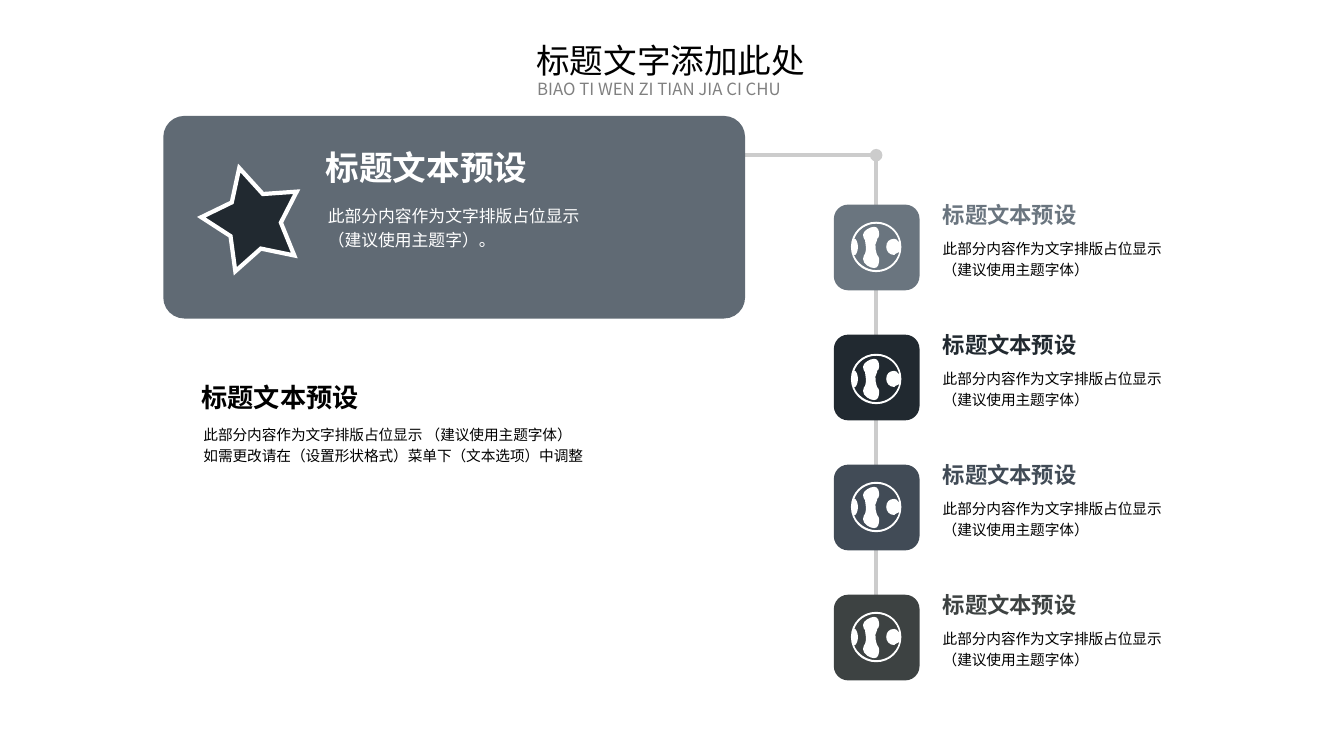
import pptx
import pptx.dml.color
import pptx.enum.shapes
import pptx.enum.text
import pptx.oxml.ns
import pptx.util
from lxml import etree
from pptx.dml.color import RGBColor
from pptx.util import Inches

FONT = "Noto Sans CJK SC"
BLACK = RGBColor(0x00, 0x00, 0x00)
WHITE = RGBColor(0xFF, 0xFF, 0xFF)
GRAY = RGBColor(0x80, 0x80, 0x80)
RAIL = RGBColor(0xCC, 0xCC, 0xCC)
SLATE = RGBColor(0x60, 0x6A, 0x74)
STEEL = RGBColor(0x6A, 0x75, 0x7F)
NAVY = RGBColor(0x21, 0x29, 0x30)
DUSK = RGBColor(0x41, 0x4B, 0x56)
MOSS = RGBColor(0x3D, 0x42, 0x42)

HEADING = "标题文本预设"
STEP_BODY = "此部分内容作为文字排版占位显示 \v（建议使用主题字体）"

# Timeline steps: tile colour and top of its globe
STEPS = [(STEEL, 2.2), (NAVY, 3.51), (DUSK, 4.78), (MOSS, 6.07)]
STEP_PITCH = 1.29
RAIL_X = 8.69
RAIL_TOP = 1.54

# Globe contours in hundredths of an inch: start point, then three points
# (two handles and an end) for each cubic curve
GLOBE = [
    ((23, 5), [  # continent
        (27, 5), (28, 9), (28, 13), (28, 15), (27, 16), (26, 17),
        (26, 17), (26, 17), (26, 18), (22, 23), (26, 33), (26, 33),
        (27, 34), (28, 36), (28, 37), (28, 42), (27, 46), (23, 46),
        (19, 46), (12, 42), (12, 37), (12, 36), (13, 34), (13, 33),
        (14, 32), (14, 32), (14, 32), (16, 27), (14, 21), (14, 18),
        (13, 18), (13, 17), (13, 17), (13, 16), (12, 15), (12, 13),
        (12, 9), (19, 5), (23, 5)]),
    ((25, 2), [  # ocean
        (15, 2), (6, 8), (3, 18), (3, 17), (3, 17), (4, 17),
        (5, 17), (7, 21), (7, 25), (7, 29), (5, 33), (4, 33),
        (3, 33), (3, 33), (3, 33), (6, 41), (15, 48), (25, 48),
        (36, 48), (45, 41), (48, 30), (47, 31), (47, 31), (46, 31),
        (45, 32), (45, 32), (44, 32), (44, 33), (43, 33), (43, 33),
        (38, 33), (35, 29), (35, 25), (35, 20), (38, 17), (43, 17),
        (44, 17), (45, 17), (46, 18), (46, 18), (46, 18), (46, 19),
        (47, 19), (47, 20), (48, 21), (46, 10), (37, 2), (25, 2)]),
    ((25, 0), [  # disc
        (39, 0), (50, 11), (50, 25), (50, 39), (39, 50), (25, 50),
        (11, 50), (0, 39), (0, 25), (0, 11), (11, 0), (25, 0)]),
]


def write_text(shape, text, size, color, bold=False, spacing=None,
               insets=(0.1, 0.05, 0.1, 0.05), wrap=True,
               anchor=pptx.enum.text.MSO_ANCHOR.TOP,
               align=pptx.enum.text.PP_ALIGN.LEFT,
               fit=pptx.enum.text.MSO_AUTO_SIZE.NONE):
    frame = shape.text_frame
    frame.word_wrap = wrap
    frame.auto_size = fit
    frame.vertical_anchor = anchor
    (frame.margin_left, frame.margin_top,
     frame.margin_right, frame.margin_bottom) = map(Inches, insets)
    paragraph = frame.paragraphs[0]
    paragraph.text = text
    paragraph.alignment = align
    if spacing:
        paragraph.line_spacing = spacing
    font = paragraph.font
    font.size, font.bold, font.name = pptx.util.Pt(size), bold, FONT
    font.color.rgb = color
    # East Asian glyphs need their own typeface entry
    latin = font._element.find(pptx.oxml.ns.qn("a:latin"))
    latin.addnext(etree.Element(pptx.oxml.ns.qn("a:ea"), typeface=FONT))


def add_text(slide, box, text, size, color, **style):
    textbox = slide.shapes.add_textbox(*map(Inches, box))
    write_text(textbox, text, size, color, **style)


def add_line_detail(line, tag, **attributes):
    etree.SubElement(line._get_or_add_ln(), pptx.oxml.ns.qn(tag), **attributes)


def paint(shape, fill, outline=None):
    shape.shadow.inherit = False
    shape.fill.solid()
    shape.fill.fore_color.rgb = fill
    if outline:
        shape.line.color.rgb = outline
        shape.line.width = pptx.util.Pt(3)
        add_line_detail(shape.line, "a:miter", lim="800000")
    else:
        shape.line.fill.background()


def add_preset(slide, kind, box, fill, outline=None):
    shape = slide.shapes.add_shape(kind, *map(Inches, box))
    paint(shape, fill, outline)
    return shape


def add_rail(slide, start, end, dot=False):
    rail = slide.shapes.add_connector(
        pptx.enum.shapes.MSO_CONNECTOR.STRAIGHT, *map(Inches, start + end))
    rail.line.color.rgb = RAIL
    rail.line.width = pptx.util.Pt(3)
    if dot:
        add_line_detail(rail.line, "a:headEnd", type="oval")
    etree.SubElement(rail._element.spPr, pptx.oxml.ns.qn("a:effectLst"))


def bend_segments(shape):
    """Turn each run of three straight segments into one cubic curve."""
    segments = list(shape._element.iter(pptx.oxml.ns.qn("a:lnTo")))
    for first in range(0, len(segments), 3):
        curve = etree.Element(pptx.oxml.ns.qn("a:cubicBezTo"))
        segments[first].addprevious(curve)
        for segment in segments[first:first + 3]:
            curve.append(segment[0])
            segment.getparent().remove(segment)


def add_globe(slide, left, top):
    builder = None
    for start, points in GLOBE:
        if builder is None:
            builder = slide.shapes.build_freeform(*start, scale=Inches(0.01))
        else:
            builder.move_to(*start)
        builder.add_line_segments(points[:-1] + [start], close=False)
    globe = builder.convert_to_shape(Inches(left), Inches(top))
    bend_segments(globe)
    paint(globe, WHITE)


def add_card(slide):
    shapes = pptx.enum.shapes.MSO_SHAPE
    card = add_preset(slide, shapes.ROUNDED_RECTANGLE,
                      (1.62, 1.15, 5.77, 2.01), SLATE)
    card.adjustments[0] = 0.104
    write_text(card, "此部分内容作为文字排版占位显示\v（建议使用主题字）。", 12, WHITE,
               spacing=1.2, insets=(1.57, 0.79, 0.1, 0))
    add_text(slide, (1.62, 1.41, 3.75, 0.5), HEADING, 24, WHITE, bold=True,
             insets=(1.61, 0.05, 0.1, 0.05), wrap=False)
    star = add_preset(slide, shapes.STAR_5_POINT, (2.01, 1.65, 0.98, 0.98),
                      NAVY, WHITE)
    star.adjustments[0] = 0.264
    star.rotation = 345


def add_step(slide, offset, color):
    add_preset(slide, pptx.enum.shapes.MSO_SHAPE.ROUNDED_RECTANGLE,
               (8.27, 2.03 + offset, 0.85, 0.85), color)
    add_text(slide, (9.11, 1.85 + offset, 2.66, 0.41), HEADING, 16, color,
             bold=True, insets=(0.24, 0, 0, 0), wrap=False,
             anchor=pptx.enum.text.MSO_ANCHOR.BOTTOM)
    add_text(slide, (9.11, 2.26 + offset, 2.66, 0.79), STEP_BODY, 10.5, BLACK,
             spacing=1.2, insets=(0.24, 0.08, 0, 0))


def main():
    presentation = pptx.Presentation()
    presentation.slide_width = Inches(13.33)
    presentation.slide_height = Inches(7.5)
    slide = presentation.slides.add_slide(presentation.slide_layouts[6])

    # Lower left note
    add_text(slide, (1.9, 3.73, 1.77, 0.42), HEADING, 18.7, BLACK, bold=True,
             wrap=False)
    add_text(slide, (1.92, 4.14, 5.77, 0.63),
             "此部分内容作为文字排版占位显示 （建议使用主题字体）\v"
             "如需更改请在（设置形状格式）菜单下（文本选项）中调整",
             10.5, BLACK, spacing=1.2)

    # Card with its rail
    add_rail(slide, (7.39, RAIL_TOP), (RAIL_X, RAIL_TOP))
    add_card(slide)

    # Timeline: rails behind the tiles, globes on top
    for index in range(len(STEPS)):
        top = RAIL_TOP + index * STEP_PITCH
        add_rail(slide, (RAIL_X, top), (RAIL_X, top + 0.53), dot=index == 0)
    for index, (color, _) in enumerate(STEPS):
        add_step(slide, index * STEP_PITCH, color)
    for _, globe_top in STEPS:
        add_globe(slide, 8.44, globe_top)

    # Slide title
    fit = pptx.enum.text.MSO_AUTO_SIZE.SHAPE_TO_FIT_TEXT
    add_text(slide, (5.22, 0.35, 2.89, 0.5), "标题文字添加此处", 24, BLACK,
             wrap=False, fit=fit)
    add_text(slide, (5.23, 0.73, 2.83, 0.3), "BIAO TI WEN ZI TIAN JIA CI CHU",
             12, GRAY, align=pptx.enum.text.PP_ALIGN.JUSTIFY, fit=fit)

    presentation.save("out.pptx")


if __name__ == "__main__":
    main()
